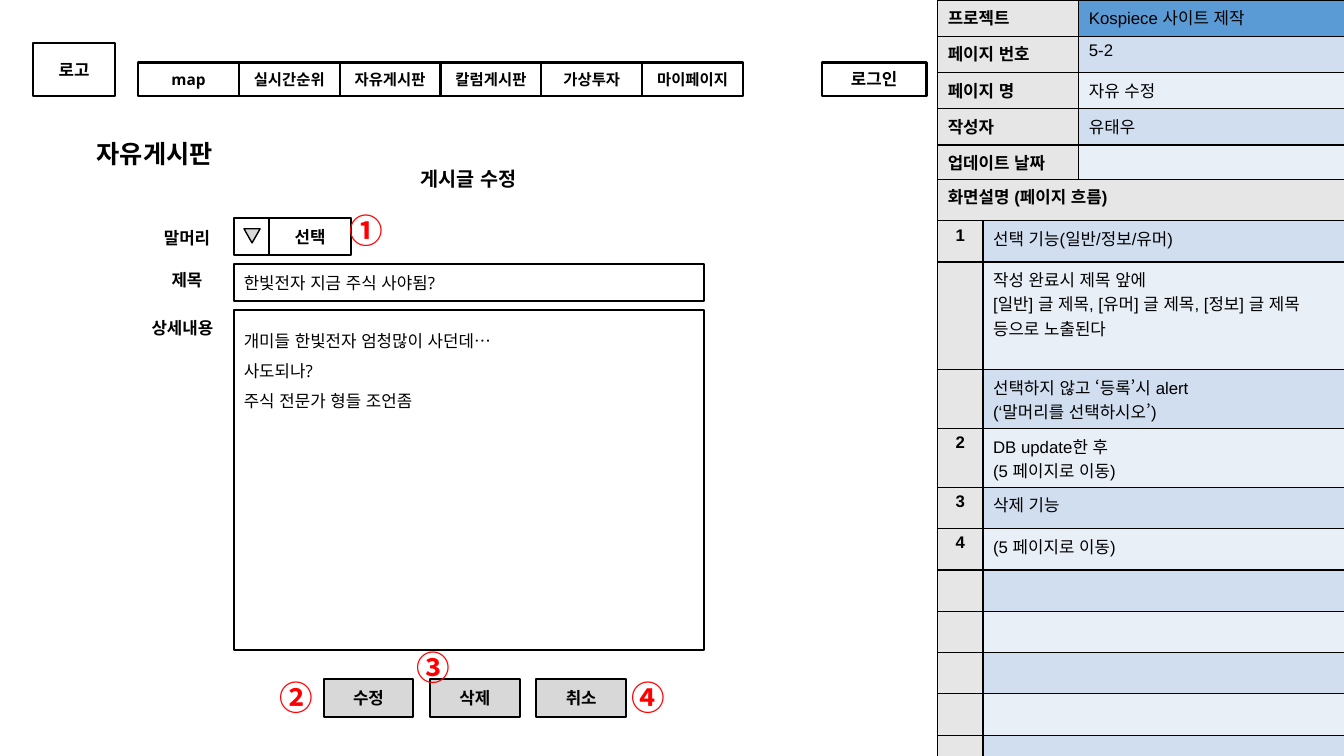
from lxml import etree
from pptx import Presentation
from pptx.dml.color import RGBColor
from pptx.enum.lang import MSO_LANGUAGE_ID
from pptx.enum.shapes import MSO_SHAPE
from pptx.enum.text import MSO_ANCHOR, PP_ALIGN
from pptx.oxml.ns import qn
from pptx.util import Inches, Pt

RECT, TRI = MSO_SHAPE.RECTANGLE, MSO_SHAPE.ISOSCELES_TRIANGLE
LEFT, MID = PP_ALIGN.LEFT, PP_ALIGN.CENTER
TOP, CENTER = MSO_ANCHOR.TOP, MSO_ANCHOR.MIDDLE
KOREAN = MSO_LANGUAGE_ID.KOREAN
SANS, BODY, CJK = "Open Sans", "Arial", "Noto Sans CJK KR"
COLORS = {"ink": "000000", "mark": "FF0000", "button": "D8D8D8", "label": "E7E6E6",
          "head": "5B9BD5", "dark": "D0DEEF", "light": "E9EFF7"}

# Content
INFO = [("프로젝트", "Kospiece 사이트 제작"), ("페이지 번호", "5-2"), ("페이지 명", "자유 수정"),
        ("작성자", "유태우"), ("업데이트 날짜", "")]
FLOW_HEAD = "화면설명 (페이지 흐름)"
FLOW = [
    ("1", ["선택 기능(일반/정보/유머)"]),
    ("", ["작성 완료시 제목 앞에", "[일반] 글 제목, [유머] 글 제목, [정보] 글 제목", "등으로 노출된다"]),
    ("", ["선택하지 않고 ‘등록’시 alert", "(‘말머리를 선택하시오’)"]),
    ("2", ["DB update한 후", "(5 페이지로 이동)"]),
    ("3", ["삭제 기능"]),
    ("4", ["(5 페이지로 이동)"]),
] + [("", [""])] * 6
MENU = ["map", "실시간순위", "자유게시판", "칼럼게시판", "가상투자", "마이페이지"]
BUTTONS = ["수정", "삭제", "취소"]
SUBJECT = "한빛전자 지금 주식 사야됨?"
POST = ["개미들 한빛전자 엄청많이 사던데…", "사도되나?", "주식 전문가 형들 조언좀"]
TITLES = [("자유게시판", 18, 0.63, 1.34), ("게시글 수정", 14, 3.74, 1.59)]
LABELS = [("말머리", 1.44, 2.16, 0.83, 0.4), ("제목", 1.44, 2.59, 0.83, 0.37),
          ("상세내용", 1.29, 3.07, 1.04, 0.37)]
MARKS = [("①", 3.37, 2.03, 0.6), ("②", 2.67, 6.67, 0.52),
         ("③", 4.03, 6.37, 0.6), ("④", 6.17, 6.67, 0.6)]

# Grid
WIDE, HIGH = 13.33, 7.5
SIDE, INFO_ROW, FLOW_ROW = 9.3, 0.36, 0.41
MENU_X, MENU_Y, MENU_W, MENU_H = 1.37, 0.62, 1.0, 0.33
FORM_X, FORM_W, FIELD_H = 2.32, 4.66, 0.37
PICK_Y, ARROW_W = 2.16, 0.35
BTN_X, BTN_Y, BTN_W, BTN_STEP = 3.21, 6.74, 0.89, 1.055

deck = Presentation()
deck.slide_width, deck.slide_height = Inches(WIDE), Inches(HIGH)
slide = deck.slides.add_slide(deck.slide_layouts[6])
shapes = slide.shapes


def color(name):
    return RGBColor.from_string(COLORS[name])


def write(frame, lines, size=12, face=SANS, bold=False, align=LEFT, ink="ink", space=None):
    for i, line in enumerate(lines):
        para = frame.paragraphs[0] if i == 0 else frame.add_paragraph()
        para.alignment = align
        if space:
            para.line_spacing = space
        run = para.add_run()
        run.text = line
        font = run.font
        font.size, font.name, font.bold = Pt(size), face, bold
        font.language_id = KOREAN
        font.color.rgb = color(ink)
        east = etree.SubElement(font._element, qn("a:ea"))
        east.set("typeface", CJK)


def inset(frame, x, y, anchor):
    frame.word_wrap = True
    frame.margin_left = frame.margin_right = Inches(x)
    frame.margin_top = frame.margin_bottom = Inches(y)
    frame.vertical_anchor = anchor


def text(box, lines, pad=0.1, anchor=CENTER, **style):
    frame = shapes.add_textbox(*map(Inches, box)).text_frame
    inset(frame, 0.1, pad, anchor)
    write(frame, lines, **style)


def block(box, lines=(), fill=None, kind=RECT, line=1.5, anchor=CENTER, **style):
    shape = shapes.add_shape(kind, *map(Inches, box))
    shape.shadow.inherit = False
    if fill:
        shape.fill.solid()
        shape.fill.fore_color.rgb = color(fill)
    else:
        shape.fill.background()
    shape.line.color.rgb = color("ink")
    shape.line.width = Pt(line)
    inset(shape.text_frame, 0.1, 0.1, anchor)
    write(shape.text_frame, lines, **style)
    return shape


def grid(top, cols, rows):
    table = shapes.add_table(len(rows), len(cols), Inches(SIDE), Inches(top),
                             Inches(sum(cols)), Inches(sum(rows))).table
    table.first_row = table.horz_banding = False
    for col, width in zip(table.columns, cols):
        col.width = Inches(width)
    for row, height in zip(table.rows, rows):
        row.height = Inches(height)
    return table


def cell(table, row, col, lines, fill, **style):
    item = table.cell(row, col)
    props = item._tc.get_or_add_tcPr()
    for side in ("lnL", "lnR", "lnT", "lnB"):
        edge = etree.SubElement(props, qn("a:" + side), w=str(Pt(1)))
        paint = etree.SubElement(edge, qn("a:solidFill"))
        etree.SubElement(paint, qn("a:srgbClr"), val=COLORS["ink"])
    item.fill.solid()
    item.fill.fore_color.rgb = color(fill)
    write(item.text_frame, lines, face=BODY, **style)


# Page facts
facts = grid(0, (1.4, 2.64), [INFO_ROW] * len(INFO))
for i, (name, value) in enumerate(INFO):
    band = "head" if i == 0 else "dark" if i % 2 else "light"
    cell(facts, i, 0, [name], "label", bold=True)
    cell(facts, i, 1, [value], band)

# Page flow
flow = grid(1.78, (0.45, 3.59), [FLOW_ROW] * len(FLOW) + [INFO_ROW])
flow.cell(0, 0).merge(flow.cell(0, 1))
cell(flow, 0, 0, [FLOW_HEAD], "label", bold=True)
cell(flow, 0, 1, [], "label")
for i, (number, lines) in enumerate(FLOW, 1):
    cell(flow, i, 0, [number], "label", bold=True, align=MID)
    cell(flow, i, 1, lines, "dark" if i % 2 else "light")

# Titles and field labels
for name, size, x, y in TITLES:
    text((x, y, 1.81, 0.37), [name], size=size, bold=True, align=MID)
for name, *box in LABELS:
    text(box, [name], bold=True, align=MID)

# Header
block((0.33, 0.43, 0.81, 0.52), ["로고"], bold=True, align=MID)
block((8.15, MENU_Y, 1.04, MENU_H), ["로그인"], bold=True, align=MID)
for i, name in enumerate(MENU):
    block((MENU_X + i * MENU_W, MENU_Y, MENU_W, MENU_H), [name], size=11, bold=True, align=MID)

# Form
block((FORM_X, PICK_Y, ARROW_W, FIELD_H))
block((FORM_X + ARROW_W, PICK_Y, 0.81, FIELD_H), ["선택"], bold=True, align=MID)
block((2.42, 2.27, 0.16, 0.14), fill="button", kind=TRI, line=1).rotation = 180
block((FORM_X, 2.62, FORM_W, FIELD_H), [SUBJECT])
block((FORM_X, 3.08, FORM_W, 3.37), POST, anchor=TOP, space=1.5)
for i, name in enumerate(BUTTONS):
    block((BTN_X + i * BTN_STEP, BTN_Y, BTN_W, FIELD_H), [name], "button", bold=True, align=MID)

# Step marks
for sign, x, y, width in MARKS:
    text((x, y, width, 0.5), [sign], pad=0.05, anchor=TOP, size=24, face=CJK, bold=True, ink="mark")

deck.save("out.pptx")
